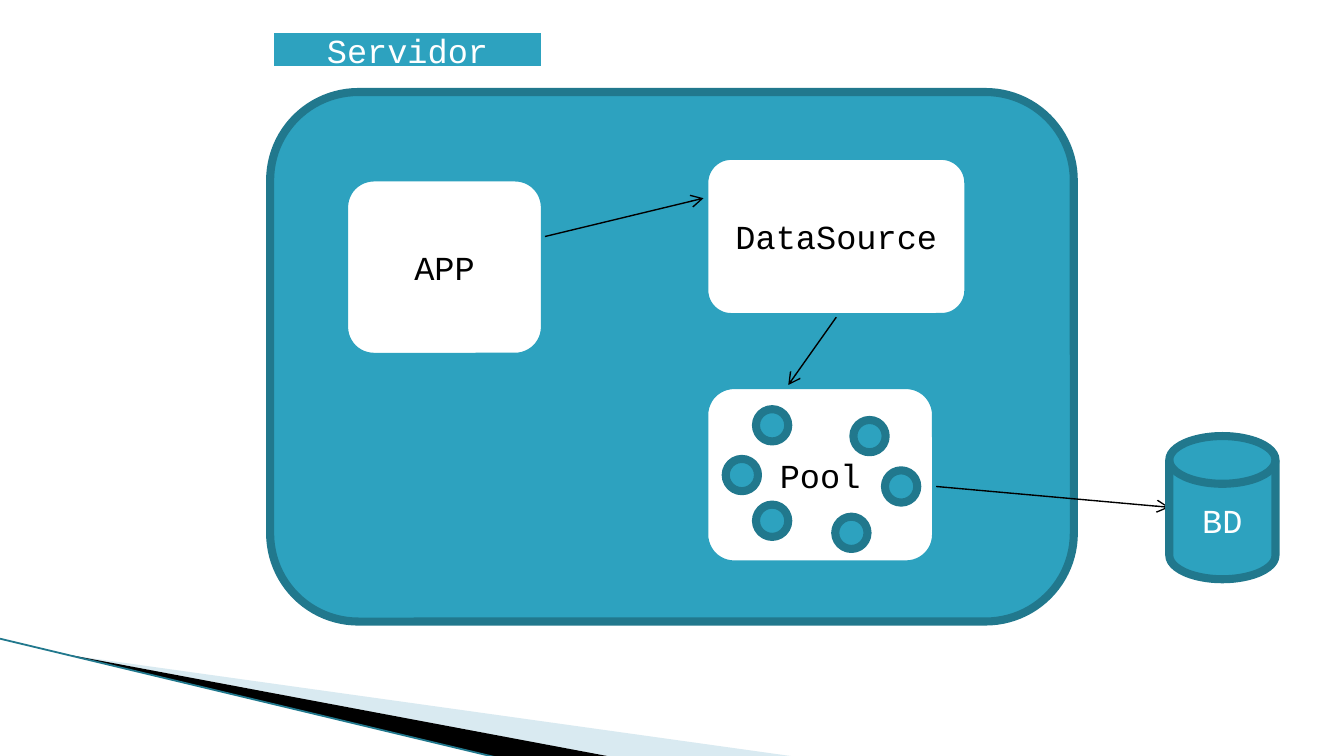
from lxml import etree
from pptx import Presentation
from pptx.dml.color import RGBColor
from pptx.enum.shapes import MSO_CONNECTOR, MSO_SHAPE as SHAPE
from pptx.enum.text import MSO_ANCHOR, PP_ALIGN
from pptx.oxml.ns import qn
from pptx.util import Pt

PX = 4572  # EMU per px, 200 px to the inch
FONT = "Courier New"
BORDER = 4.33
DOT_SIZE = 48
COLORS = {
    "teal": "2DA2BF",
    "dark_teal": "21788D",
    "pale_blue": "A0CBDC",
    "white": "FFFFFF",
    "black": "000000",
}


def rgb(name):
    return RGBColor.from_string(COLORS[name])


def add_block(slide, kind, box, fill, border, label="", ink="black"):
    block = slide.shapes.add_shape(kind, *(n * PX for n in box))
    block.shadow.inherit = False
    block.fill.solid()
    block.fill.fore_color.rgb = rgb(fill)
    block.line.color.rgb = rgb(border)
    block.line.width = Pt(BORDER)
    if label:
        frame = block.text_frame
        frame.text = label
        frame.vertical_anchor = MSO_ANCHOR.MIDDLE
        paragraph = frame.paragraphs[0]
        paragraph.alignment = PP_ALIGN.CENTER
        font = paragraph.runs[0].font
        font.name, font.size = FONT, Pt(18)
        font.color.rgb = rgb(ink)
    return block


def add_line(slide, start, end, color="black", width=0.75, arrow=False):
    line = slide.shapes.add_connector(
        MSO_CONNECTOR.STRAIGHT, *(n * PX for n in start + end))
    line.line.color.rgb = rgb(color)
    line.line.width = Pt(width)
    properties = line._element.spPr
    if arrow:
        etree.SubElement(properties.find(qn("a:ln")), qn("a:tailEnd"), type="arrow")
    etree.SubElement(properties, qn("a:effectLst"))
    return line


def add_wedge(slide, points, color, opacity=100):
    builder = slide.shapes.build_freeform(*points[0], scale=PX)
    builder.add_line_segments(points[1:], close=True)
    wedge = builder.convert_to_shape()
    wedge.shadow.inherit = False
    wedge.fill.solid()
    wedge.fill.fore_color.rgb = rgb(color)
    wedge.line.fill.background()
    if opacity < 100:
        tint = wedge._element.spPr.find(qn("a:solidFill"))[0]
        etree.SubElement(tint, qn("a:alpha"), val=str(opacity * 1000))


def add_corner_decoration(slide):
    add_wedge(slide, [(110, 976), (1190, 1127), (912, 1127)], "pale_blue", 40)
    add_wedge(slide, [(106, 975), (914, 1127), (744, 1128), (108, 976)], "black")
    add_line(slide, (-2, 950), (742, 1128), "dark_teal", 0.95)


def main():
    prs = Presentation()
    prs.slide_width, prs.slide_height = 2000 * PX, 1125 * PX
    slide = prs.slides.add_slide(prs.slide_layouts[6])
    add_corner_decoration(slide)

    # Server and the components inside it
    rounded = SHAPE.ROUNDED_RECTANGLE
    add_block(slide, rounded, (402, 137, 1196, 788), "teal", "dark_teal")
    add_block(slide, rounded, (512, 264, 299, 267), "white", "teal", "APP")
    add_block(slide, rounded, (1048, 573, 345, 267), "white", "teal", "Pool")
    data_source = add_block(
        slide, rounded, (1048, 232, 393, 240), "white", "teal", "DataSource")
    add_block(slide, SHAPE.RECTANGLE, (402, 43, 409, 62),
              "teal", "white", "Servidor", "white")

    # Requests from the app and from the pool
    add_line(slide, (811, 352), (1047, 295), arrow=True)
    add_line(slide, (1393, 724), (1740, 755), arrow=True)

    # Pooled connections
    for left, top in [(1125, 609), (1125, 751), (1317, 700),
                      (1270, 625), (1243, 769), (1080, 683)]:
        add_block(slide, SHAPE.OVAL, (left, top, DOT_SIZE, DOT_SIZE),
                  "teal", "dark_teal")

    # Database
    add_block(slide, SHAPE.FLOWCHART_MAGNETIC_DISK, (1740, 649, 158, 213),
              "teal", "dark_teal", "BD", "white")

    # Data source to pool
    source_to_pool = add_line(slide, (1244, 472), (1173, 573), arrow=True)
    source_to_pool.begin_connect(data_source, 2)

    prs.save("out.pptx")


if __name__ == "__main__":
    main()
